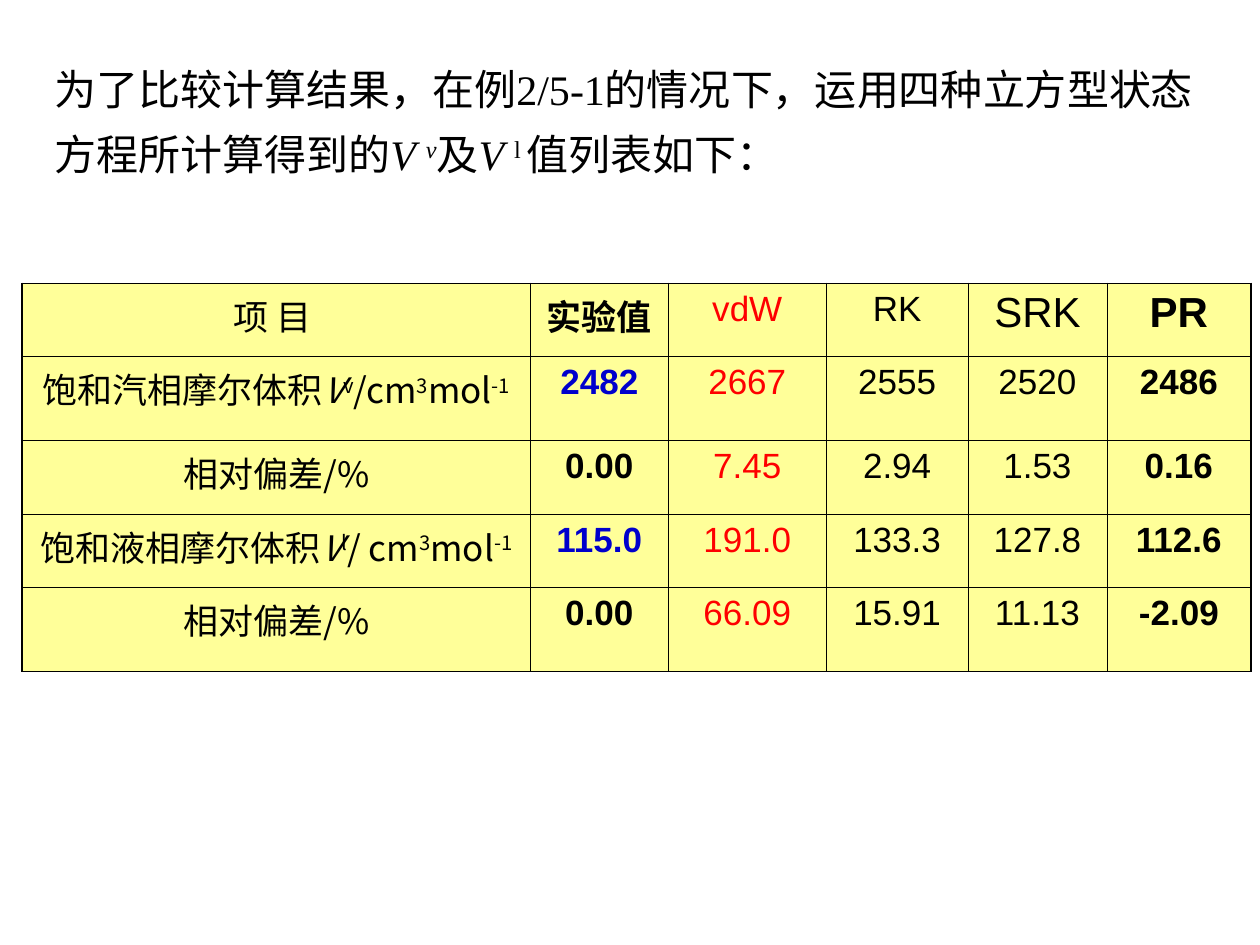
import pptx
import pptx.dml.color
import pptx.enum.text
import pptx.oxml
import pptx.oxml.ns
import pptx.util

Pt = pptx.util.Pt
RGBColor = pptx.dml.color.RGBColor

BLACK = RGBColor(0x00, 0x00, 0x00)
RED = RGBColor(0xFE, 0x00, 0x00)
BLUE = RGBColor(0x00, 0x00, 0xCC)
YELLOW = RGBColor(0xFF, 0xFF, 0x99)
CHINESE, SANS, SERIF = "Noto Sans CJK SC", "Arial", "Times New Roman"
THIN, THICK = 0.45, 1.08

# Content: runs are (text, font, marks), with i for italic and ^ for superscript
INTRO = [
    ("为了比较计算结果，在例", CHINESE, ""),
    ("2/5-1", SERIF, ""),
    ("的情况下，运用四种立方型状态方程所计算得到的", CHINESE, ""),
    ("V ", SERIF, "i"),
    ("v", SERIF, "i^"),
    ("及", CHINESE, ""),
    ("V ", SERIF, "i"),
    ("l ", SERIF, "^"),
    ("值列表如下：", CHINESE, ""),
]


def volume_label(name, phase, unit):
    parts = [(name, ""), ("V", "i"), (phase, "^"), (unit, ""),
             ("3", "^"), ("mol", ""), ("-1", "^")]
    return [(text, CHINESE, marks) for text, marks in parts]


DEVIATION_LABEL = [("相对偏差/%", CHINESE, "")]
ROW_LABELS = [
    [("项 目 ", CHINESE, "")],
    volume_label("饱和汽相摩尔体积", "v", "/cm"),
    DEVIATION_LABEL,
    volume_label("饱和液相摩尔体积", "l", "/ cm"),
    DEVIATION_LABEL,
]
VALUES = [
    ["实验值", "vdW", "RK", "SRK", "PR"],
    ["2482", "2667", "2555", "2520", "2486"],
    ["0.00", "7.45", "2.94", "1.53", "0.16"],
    ["115.0", "191.0", "133.3", "127.8", "112.6"],
    ["0.00", "66.09", "15.91", "11.13", "-2.09"],
]
COLUMN_COLORS = [BLACK, RED, BLACK, BLACK, BLACK]
BOLD_COLUMNS = (0, 4)
LARGE_HEADERS = ("SRK", "PR")
MEASURED_VOLUMES = ("2482", "115.0")

COLUMN_WIDTHS = [290.4, 78.7, 90.4, 80.9, 79.5, 82.1]
ROW_HEIGHTS = [41.9, 48, 41.9, 41.9, 48]


def write_runs(paragraph, runs, size, color=BLACK, bold=False):
    for text, font_name, marks in runs:
        run = paragraph.add_run()
        run.text = text
        font = run.font
        font.name, font.size, font.bold = font_name, Pt(size), bold
        font.italic = "i" in marks
        font.color.rgb = color
        properties = font._element
        if "^" in marks:
            properties.set("baseline", "30000")
        east_asian = pptx.oxml.parse_xml(
            f'<a:ea {pptx.oxml.ns.nsdecls("a")} typeface="{CHINESE}"/>')
        properties.find(pptx.oxml.ns.qn("a:latin")).addnext(east_asian)


def set_borders(cell, widths):
    properties = cell._tc.get_or_add_tcPr()
    for position, (side, width) in enumerate(widths.items()):
        properties.insert(position, pptx.oxml.parse_xml(
            f'<a:ln{side} {pptx.oxml.ns.nsdecls("a")} w="{Pt(width)}">'
            f'<a:solidFill><a:srgbClr val="{BLACK}"/></a:solidFill></a:ln{side}>'))


presentation = pptx.Presentation()
presentation.slide_width, presentation.slide_height = Pt(720), Pt(540)
slide = presentation.slides.add_slide(presentation.slide_layouts[6])

# Introduction
intro_box = slide.shapes.add_textbox(Pt(24), Pt(24), Pt(679), Pt(82))
intro_box.text_frame.word_wrap = True
intro_box.text_frame.auto_size = pptx.enum.text.MSO_AUTO_SIZE.SHAPE_TO_FIT_TEXT
intro = intro_box.text_frame.paragraphs[0]
intro.line_spacing = 1.3
write_runs(intro, INTRO, 24)

# Comparison table
row_count, column_count = len(ROW_HEIGHTS), len(COLUMN_WIDTHS)
table = slide.shapes.add_table(
    row_count, column_count, Pt(12.75), Pt(162),
    Pt(sum(COLUMN_WIDTHS)), Pt(sum(ROW_HEIGHTS))).table
for column, width in zip(table.columns, COLUMN_WIDTHS):
    column.width = Pt(width)
for row, height in zip(table.rows, ROW_HEIGHTS):
    row.height = Pt(height)

for row_index in range(row_count):
    for column_index in range(column_count):
        cell = table.cell(row_index, column_index)
        cell.fill.solid()
        cell.fill.fore_color.rgb = YELLOW
        set_borders(cell, {
            "L": THICK if column_index == 0 else THIN,
            "R": THICK if column_index == column_count - 1 else THIN,
            "T": THICK if row_index == 0 else THIN,
            "B": THICK if row_index == row_count - 1 else THIN,
        })
        paragraph = cell.text_frame.paragraphs[0]
        paragraph.alignment = pptx.enum.text.PP_ALIGN.CENTER
        if column_index == 0:
            write_runs(paragraph, ROW_LABELS[row_index], 20)
            continue
        value_index = column_index - 1
        value = VALUES[row_index][value_index]
        color = BLUE if value in MEASURED_VOLUMES else COLUMN_COLORS[value_index]
        size = 24 if value in LARGE_HEADERS else 20
        write_runs(paragraph, [(value, SANS, "")], size, color,
                   value_index in BOLD_COLUMNS)

presentation.save("out.pptx")
